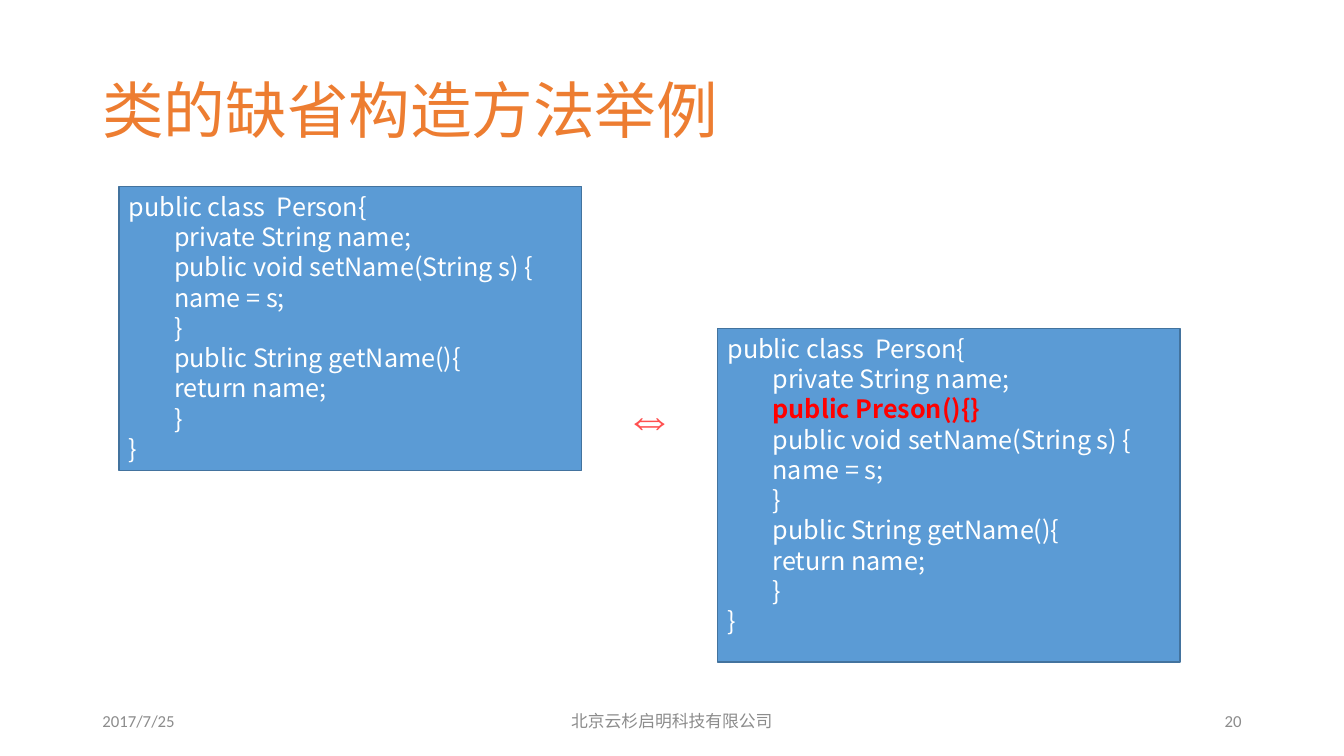
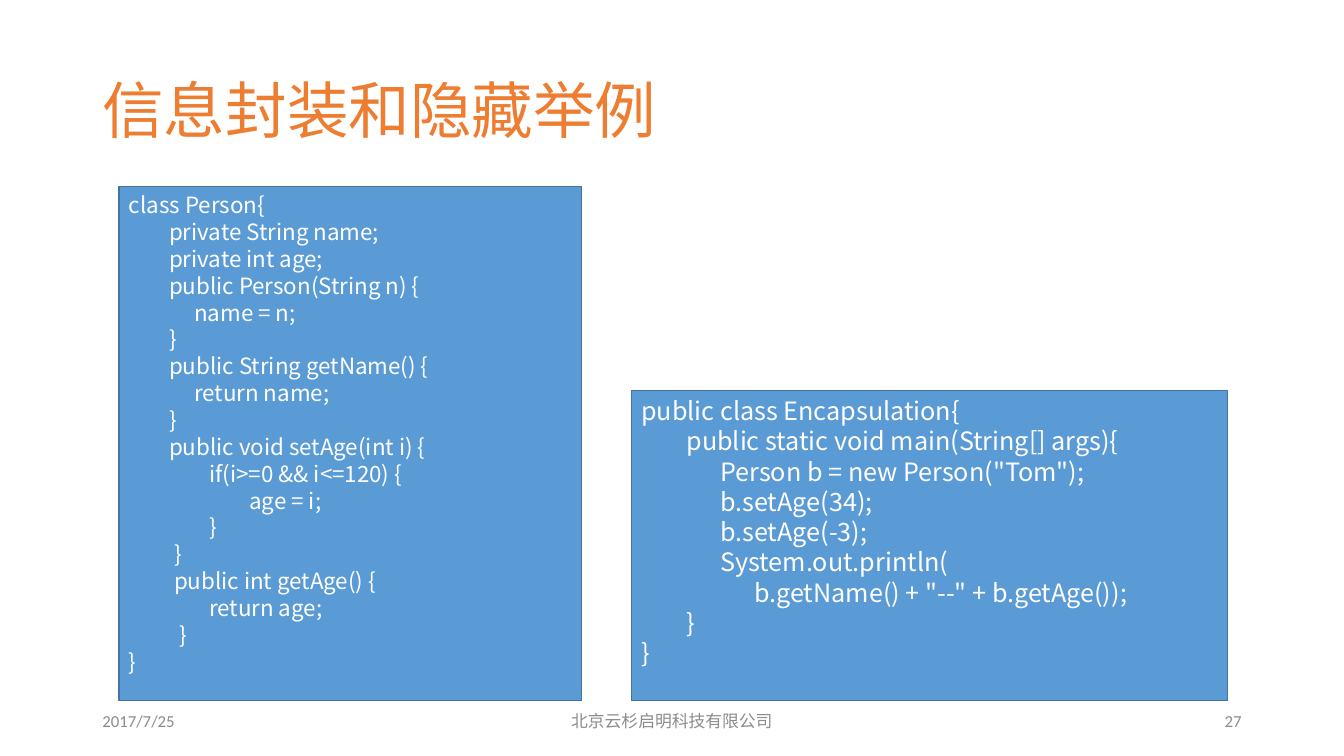
"""Build two slides of Java examples: default constructors and encapsulation."""
from typing import NamedTuple

from lxml.etree import SubElement
from pptx import Presentation
from pptx.dml.color import RGBColor
from pptx.enum.shapes import MSO_SHAPE
from pptx.enum.text import MSO_ANCHOR, PP_ALIGN
from pptx.oxml.ns import qn
from pptx.slide import Slide
from pptx.util import Pt

ORANGE = RGBColor(0xED, 0x7D, 0x31)
BLUE = RGBColor(0x5B, 0x9B, 0xD5)
DARK_BLUE = RGBColor(0x43, 0x73, 0x9E)
GRAY = RGBColor(0x8C, 0x8C, 0x8C)
WHITE = RGBColor(0xFF, 0xFF, 0xFF)
RED = RGBColor(0xFF, 0x00, 0x00)
CORAL = RGBColor(0xFF, 0x50, 0x50)

CJK_FONT = "Noto Sans CJK SC"
FOOTER_FONT = "Calibri"
SYMBOL_FONT = "Arial"
DATE = "2017/7/25"
COMPANY = "北京云杉启明科技有限公司"
INDENT_EM = 0.224
LINE_EM = 1.2


class Box(NamedTuple):
    left: float
    top: float
    width: float
    height: float


class Style(NamedTuple):
    size: float
    color: RGBColor
    font: str = CJK_FONT
    bold: bool = False


class Line(NamedTuple):
    indent: int
    code: str
    highlighted: bool = False


class Listing(NamedTuple):
    box: Box
    size: float
    lines: list[Line]


class Label(NamedTuple):
    box: Box
    text: str
    style: Style
    align: PP_ALIGN = PP_ALIGN.LEFT
    anchor: MSO_ANCHOR = MSO_ANCHOR.MIDDLE
    spacing: float = 1.0


class Page(NamedTuple):
    title: str
    number: int
    listings: list[Listing]
    labels: list[Label]


CLASS_HEAD = [Line(0, "public class  Person{"), Line(8, "private String name;")]
CONSTRUCTOR = [Line(8, "public Preson(){}", True)]
CLASS_BODY = [
    Line(8, "public void setName(String s) {"),
    Line(8, "name = s;"),
    Line(8, "}"),
    Line(8, "public String getName(){"),
    Line(8, "return name;"),
    Line(8, "}"),
    Line(0, "}"),
]
PERSON = [
    Line(0, "class Person{"),
    Line(8, "private String name;"),
    Line(8, "private int age;"),
    Line(8, "public Person(String n) {"),
    Line(13, "name = n;"),
    Line(8, "}"),
    Line(8, "public String getName() {"),
    Line(13, "return name;"),
    Line(8, "}"),
    Line(8, "public void setAge(int i) {"),
    Line(16, "if(i>=0 && i<=120) {"),
    Line(24, "age = i;"),
    Line(16, "}"),
    Line(9, "}"),
    Line(9, "public int getAge() {"),
    Line(16, "return age;"),
    Line(10, "}"),
    Line(0, "}"),
]
ENCAPSULATION = [
    Line(0, "public class Encapsulation{"),
    Line(8, "public static void main(String[] args){"),
    Line(14, 'Person b = new Person("Tom");'),
    Line(14, "b.setAge(34);"),
    Line(14, "b.setAge(-3);"),
    Line(14, "System.out.println("),
    Line(20, 'b.getName() + "--" + b.getAge());'),
    Line(8, "}"),
    Line(0, "}"),
]
EQUIVALENCE = Label(Box(426, 272, 76, 50), "⇔", Style(36, CORAL, SYMBOL_FONT),
                    PP_ALIGN.CENTER, MSO_ANCHOR.TOP)

PAGES = [
    Page("类的缺省构造方法举例", 20, [
        Listing(Box(85, 133, 330.5, 203), 18, CLASS_HEAD + CLASS_BODY),
        Listing(Box(512.5, 234.5, 330.5, 238.5), 18, CLASS_HEAD + CONSTRUCTOR + CLASS_BODY),
    ], [EQUIVALENCE]),
    Page("信息封装和隐藏举例", 27, [
        Listing(Box(85, 133, 330.5, 367.5), 16, PERSON),
        Listing(Box(451, 279, 426, 221.5), 18, ENCAPSULATION),
    ], []),
]


def add_run(paragraph, text: str, style: Style) -> None:
    """Append one run, with its font set for Latin and East Asian text."""
    run = paragraph.add_run()
    run.text = text
    run.font.size = Pt(style.size)
    run.font.bold = style.bold
    run.font.color.rgb = style.color
    run.font.name = style.font
    SubElement(run.font._element, qn("a:ea"), typeface=style.font)


def add_label(slide: Slide, label: Label) -> None:
    """Add a single-line text box."""
    frame = slide.shapes.add_textbox(*map(Pt, label.box)).text_frame
    frame.word_wrap = True
    frame.vertical_anchor = label.anchor
    paragraph = frame.paragraphs[0]
    paragraph.alignment = label.align
    paragraph.line_spacing = label.spacing
    add_run(paragraph, label.text, label.style)


def add_listing(slide: Slide, listing: Listing) -> None:
    """Add a blue panel of indented code."""
    panel = slide.shapes.add_shape(MSO_SHAPE.RECTANGLE, *map(Pt, listing.box))
    panel.shadow.inherit = False
    panel.fill.solid()
    panel.fill.fore_color.rgb = BLUE
    panel.line.color.rgb = DARK_BLUE
    panel.line.width = Pt(1)
    frame = panel.text_frame
    frame.word_wrap = True
    frame.vertical_anchor = MSO_ANCHOR.TOP
    for index, line in enumerate(listing.lines):
        paragraph = frame.add_paragraph() if index else frame.paragraphs[0]
        paragraph.alignment = PP_ALIGN.JUSTIFY
        paragraph.line_spacing = Pt(LINE_EM * listing.size)
        margin = Pt(line.indent * INDENT_EM * listing.size)
        paragraph._p.get_or_add_pPr().set("marL", str(margin))
        color = RED if line.highlighted else WHITE
        add_run(paragraph, line.code, Style(listing.size, color, bold=line.highlighted))


def add_frame(slide: Slide, page: Page) -> None:
    """Add the title and the three footer fields."""
    footer = Style(12, GRAY, FOOTER_FONT)
    for label in (
        Label(Box(66, 29, 626, 104), page.title, Style(44, ORANGE), spacing=0.9),
        Label(Box(66, 500.5, 216, 29), DATE, footer),
        Label(Box(318, 500.5, 324, 29), COMPANY, Style(12, GRAY), PP_ALIGN.CENTER),
        Label(Box(678, 500.5, 216, 29), str(page.number), footer, PP_ALIGN.RIGHT),
    ):
        add_label(slide, label)


def main() -> None:
    """Build and save the presentation."""
    deck = Presentation()
    deck.slide_width, deck.slide_height = Pt(960), Pt(540)
    for page in PAGES:
        slide = deck.slides.add_slide(deck.slide_layouts[6])
        add_frame(slide, page)
        for listing in page.listings:
            add_listing(slide, listing)
        for label in page.labels:
            add_label(slide, label)
    deck.save("out.pptx")


if __name__ == "__main__":
    main()
